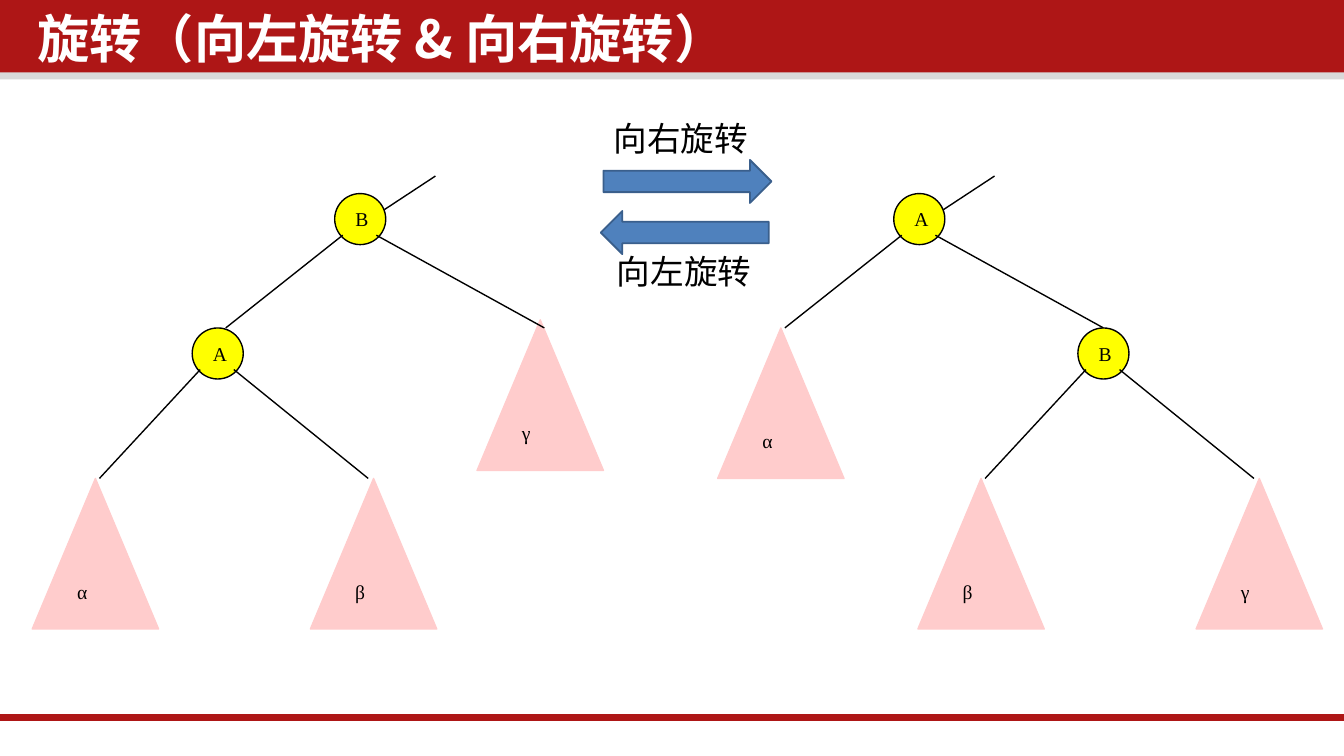
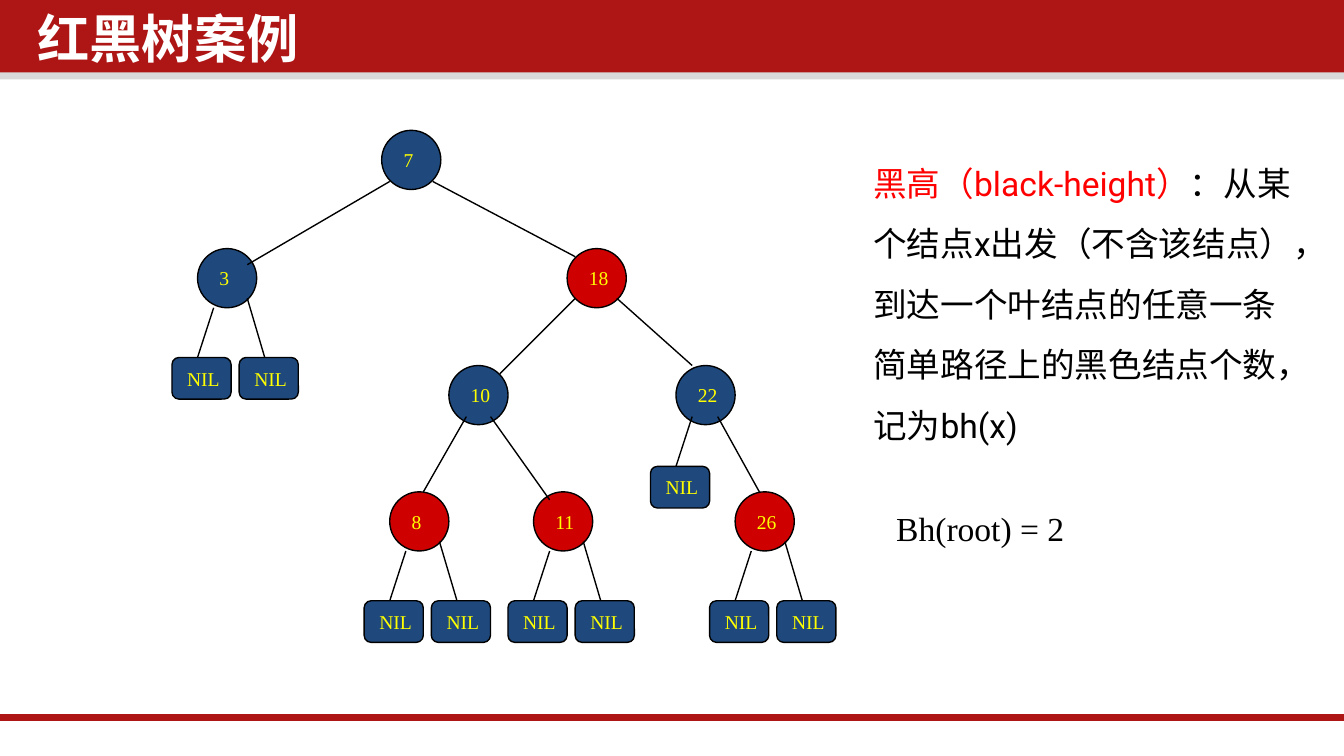
from dataclasses import dataclass

from lxml.etree import SubElement
from pptx import Presentation
from pptx.dml.color import RGBColor as RGB
from pptx.enum.shapes import MSO_CONNECTOR as Connector, MSO_SHAPE as Shape
from pptx.enum.text import MSO_ANCHOR as Anchor, MSO_AUTO_SIZE as AutoSize, PP_ALIGN as Align
from pptx.oxml.ns import qn
from pptx.util import Inches, Pt


@dataclass(frozen=True)
class Theme:
    band: str = "AE1616"
    strip: str = "D9D9D9"
    white: str = "FFFFFF"
    ink: str = "000000"
    accent: str = "FF0000"
    yellow: str = "FFFF00"
    pink: str = "FFCCCC"
    navy: str = "1F497D"
    red: str = "CE0000"
    arrow: str = "4F81BD"
    arrow_edge: str = "3A5F8C"
    serif: str = "Times New Roman"
    sans: str = "Roboto"
    cjk: str = "Noto Sans CJK SC"
    title_size: float = 28
    body_size: float = 18
    node_size: float = 10.5
    thin: float = 0.75


THEME = Theme()

# Rotation slide: offsets are measured from the top left of a node
ROTATION_TITLE = "旋转（向左旋转 & 向右旋转）"
ROOT_TOP, INNER_TOP = 1.44, 2.44
ROTATION_TREES = [
    # root and inner node with their left edges, inner triangles, lone triangle
    {"root": ("B", 2.49), "inner": ("A", 1.43), "pair": "αβ", "lone": ("γ", 3.55, 2.38)},
    {"root": ("A", 6.65), "inner": ("B", 8.02), "pair": "βγ", "lone": ("α", 5.34, 2.44)},
]
ROOT_EDGES = [
    ((0.06, 0.31), (-0.81, 1.0)),
    ((0.31, 0.31), (1.56, 1.0)),
    ((0.37, 0.12), (0.75, -0.13)),
]
INNER_EDGES = [((0.06, 0.31), (-0.69, 1.12)), ((0.31, 0.31), (1.31, 1.12))]
TRIANGLE_OFFSETS = (-1.19, 0.88)
TRIANGLE_DROP = 1.12
ROTATION_ARROWS = [
    # label, label box, arrow box, turn
    ("向右旋转", (4.31, 0.83, 1.51, 0.4), (4.49, 1.19, 1.25, 0.32), 0),
    ("向左旋转", (4.34, 1.82, 1.5, 0.4), (4.47, 1.57, 1.25, 0.32), 180),
]

# Red-black tree slide
RED_BLACK_TITLE = "红黑树案例"
RED_BLACK_NODES = [
    # key, colour, left, top, number of NIL leaves, drop to the leaves
    ("7", THEME.navy, 2.84, 0.97, 0, 0),
    ("3", THEME.navy, 1.47, 1.85, 2, 0.81),
    ("18", THEME.red, 4.22, 1.85, 0, 0),
    ("10", THEME.navy, 3.34, 2.72, 0, 0),
    ("22", THEME.navy, 5.03, 2.72, 1, 0.75),
    ("8", THEME.red, 2.9, 3.66, 2, 0.81),
    ("11", THEME.red, 3.97, 3.66, 2, 0.81),
    ("26", THEME.red, 5.47, 3.66, 2, 0.81),
]
RED_BLACK_EDGES = [
    ((2.9, 1.35), (1.84, 1.97)),
    ((3.22, 1.35), (4.28, 1.91)),
    ((4.28, 2.22), (3.72, 2.78)),
    ((4.59, 2.22), (5.15, 2.72)),
    ((3.47, 3.1), (3.15, 3.66)),
    ((3.65, 3.1), (4.09, 3.72)),
    ((5.34, 3.1), (5.65, 3.66)),
]
LEAF_SIZE = (0.44, 0.31)
LEAF_STEP = 0.5
DEFINITION = [
    ("黑高（black-height）", THEME.accent),
    ("：从某个结点x出发（不含该结点），到达一个叶结点的任意一条简单路径上的"
     "黑色结点个数，记为bh(x)", THEME.ink),
]
ROOT_HEIGHT = [("Bh(root) = 2", THEME.ink)]


def add_span(para, text, size, color, font=THEME.serif, bold=False):
    span = para.add_run()
    span.text = text
    span.font.size = Pt(size)
    span.font.bold = bold
    span.font.name = font
    span.font.color.rgb = RGB.from_string(color)
    SubElement(span.font._element, qn("a:ea")).set("typeface", THEME.cjk)


def add_block(page, kind, box, fill, edge=None, width=THEME.thin):
    block = page.shapes.add_shape(kind, *map(Inches, box))
    block.shadow.inherit = False
    block.fill.solid()
    block.fill.fore_color.rgb = RGB.from_string(fill)
    if edge:
        block.line.color.rgb = RGB.from_string(edge)
        block.line.width = Pt(width)
    else:
        block.line.fill.background()
    return block


def add_node(page, kind, box, label, fill, edge=THEME.ink, color=THEME.ink):
    node = add_block(page, kind, box, fill, edge)
    node.text_frame.word_wrap = False
    node.text_frame.vertical_anchor = Anchor.MIDDLE
    para = node.text_frame.paragraphs[0]
    para.alignment = Align.LEFT
    add_span(para, label, THEME.node_size, color)


def add_line(page, start, end, color=THEME.ink, width=THEME.thin):
    line = page.shapes.add_connector(Connector.STRAIGHT, *map(Inches, (*start, *end)))
    line.line.color.rgb = RGB.from_string(color)
    line.line.width = Pt(width)
    SubElement(line._element.spPr, qn("a:effectLst"))
    return line


def add_edges(page, edges, left=0, top=0):
    for start, end in edges:
        add_line(page, *((left + x, top + y) for x, y in (start, end)))


def add_text(page, box, spans, font=THEME.serif, align=Align.LEFT, spacing=None):
    frame = page.shapes.add_textbox(*map(Inches, box)).text_frame
    frame.word_wrap = True
    frame.auto_size = AutoSize.SHAPE_TO_FIT_TEXT
    para = frame.paragraphs[0]
    para.alignment = align
    para.line_spacing = spacing
    for text, color in spans:
        add_span(para, text, THEME.body_size, color, font)


def move_bands_to_layout(page):
    """Draw the header and footer bands once, on the shared layout."""
    bands = [
        add_block(page, Shape.RECTANGLE, (0, 0.5, 10, 0.09), THEME.strip),
        add_block(page, Shape.RECTANGLE, (0, 0, 10, 0.54), THEME.band),
        add_line(page, (-0.02, 5.34), (10, 5.34), THEME.band, 4),
    ]
    for band in bands:
        page.slide_layout.shapes._spTree.append(band._element)


def add_page(deck, title):
    page = deck.slides.add_slide(deck.slide_layouts[5])
    box = page.shapes.title
    box.left, box.top, box.width, box.height = map(Inches, (0.21, 0.06, 7.64, 0.59))
    frame = box.text_frame
    frame.word_wrap = True
    frame.auto_size = AutoSize.NONE
    frame.vertical_anchor = Anchor.TOP
    frame.margin_left = frame.margin_right = Inches(0.07)
    frame.margin_top = frame.margin_bottom = Inches(0.04)
    para = frame.paragraphs[0]
    para.alignment = Align.LEFT
    para.line_spacing = 0.9
    add_span(para, title, THEME.title_size, THEME.white, THEME.cjk, bold=True)
    return page


def add_triangle(page, label, left, top):
    add_node(page, Shape.ISOSCELES_TRIANGLE, (left, top, 0.94, 1.12), label,
             THEME.pink, THEME.pink)


def build_rotation(page):
    for tree in ROTATION_TREES:
        # Nodes and subtrees
        for (label, left), top in ((tree["root"], ROOT_TOP), (tree["inner"], INNER_TOP)):
            add_node(page, Shape.OVAL, (left, top, 0.38, 0.38), label, THEME.yellow)
        root_left, inner_left = tree["root"][1], tree["inner"][1]
        for label, offset in zip(tree["pair"], TRIANGLE_OFFSETS):
            add_triangle(page, label, inner_left + offset, INNER_TOP + TRIANGLE_DROP)
        add_triangle(page, *tree["lone"])
        # Edges
        add_edges(page, ROOT_EDGES, root_left, ROOT_TOP)
        add_edges(page, INNER_EDGES, inner_left, INNER_TOP)
    # Rotation arrows with their labels
    for label, label_box, arrow_box, turn in ROTATION_ARROWS:
        add_text(page, label_box, [(label, THEME.ink)], align=Align.CENTER)
        arrow = add_block(page, Shape.RIGHT_ARROW, arrow_box, THEME.arrow,
                          THEME.arrow_edge, 1)
        arrow.rotation = turn


def build_red_black(page):
    for key, fill, left, top, leaves, drop in RED_BLACK_NODES:
        add_node(page, Shape.OVAL, (left, top, 0.44, 0.44), key, fill, color=THEME.yellow)
        # NIL leaves hang below their node
        for i in range(leaves):
            leaf = (left - 0.19 + i * LEAF_STEP, top + drop, *LEAF_SIZE)
            add_node(page, Shape.FLOWCHART_ALTERNATE_PROCESS, leaf, "NIL", THEME.navy,
                     color=THEME.yellow)
        stems = [((0.12, drop - 0.37), (0, drop)), ((0.37, 0.37), (0.5, drop))]
        add_edges(page, stems[:leaves], left, top)
    add_edges(page, RED_BLACK_EDGES)
    # Definition of black-height
    add_text(page, (6.4, 1.01, 3.37, 2.32), DEFINITION, THEME.sans, spacing=1.5)
    add_text(page, (6.57, 3.73, 2.17, 0.4), ROOT_HEIGHT)


def main():
    deck = Presentation()
    # Widescreen page, 16 to 9
    deck.slide_width = Inches(10)
    deck.slide_height = Inches(10) * 9 // 16
    rotation = add_page(deck, ROTATION_TITLE)
    move_bands_to_layout(rotation)
    build_rotation(rotation)
    build_red_black(add_page(deck, RED_BLACK_TITLE))
    deck.save("out.pptx")


if __name__ == "__main__":
    main()
